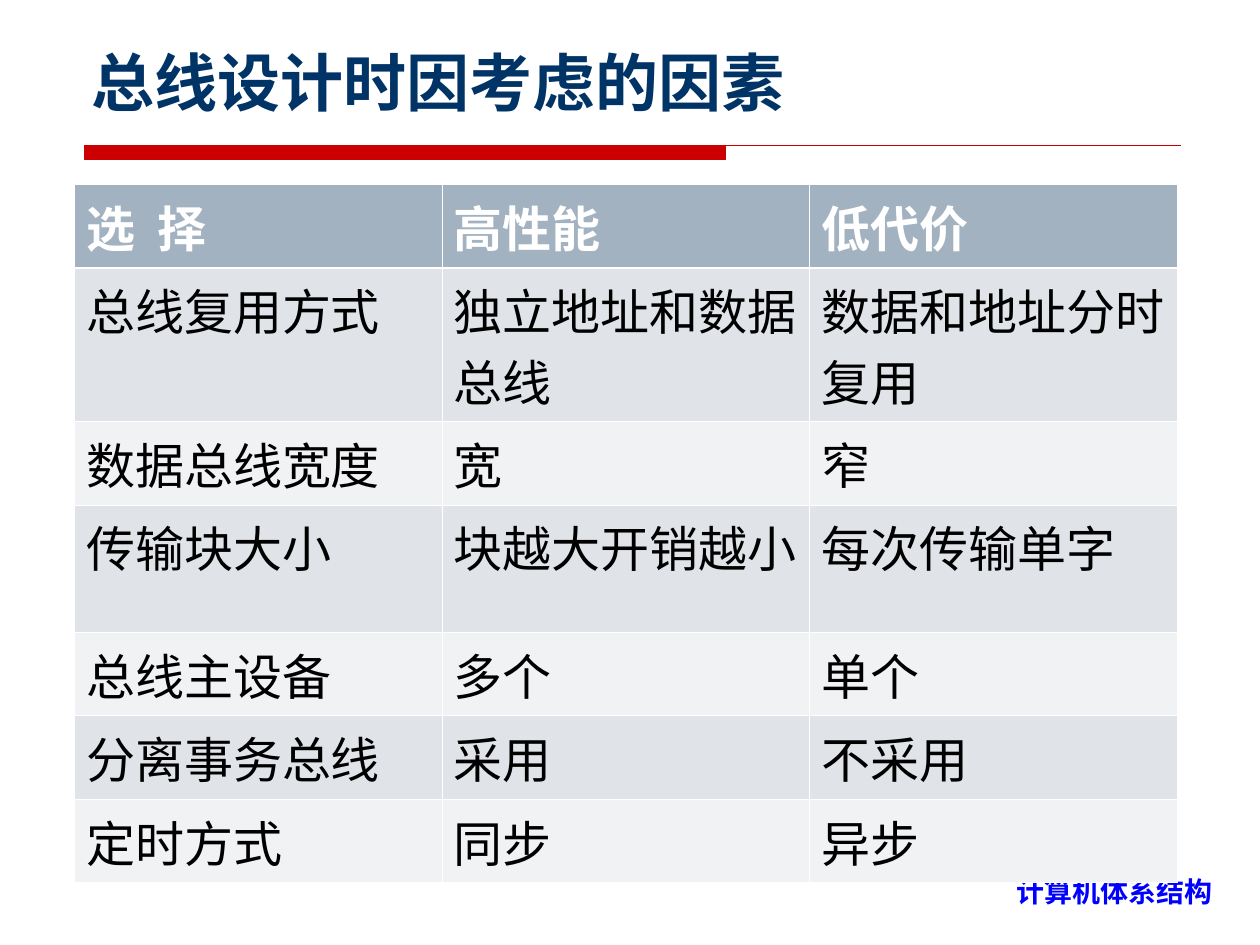
from lxml.etree import SubElement
from pptx import Presentation
from pptx.dml.color import RGBColor
from pptx.enum.text import MSO_ANCHOR, MSO_AUTO_SIZE, PP_ALIGN
from pptx.oxml.ns import qn
from pptx.util import Cm, Pt

LATIN = "DejaVu Sans"
CJK = "Noto Sans CJK SC"
RED = "CC0000"
WHITE = "FFFFFF"
HEADER_FILL = "A3B2C1"
BAND_FILLS = ("F0F2F4", "E0E4E9")
COMPARISON = (
    ("选  择", "高性能", "低代价"),
    ("总线复用方式", "独立地址和数据总线", "数据和地址分时复用"),
    ("数据总线宽度", "宽", "窄"),
    ("传输块大小", "块越大开销越小", "每次传输单字"),
    ("总线主设备", "多个", "单个"),
    ("分离事务总线", "采用", "不采用"),
    ("定时方式", "同步", "异步"),
)
ROW_HEIGHT = 1.68
TALL_ROWS = {1: 3.1, 3: 2.57}


def rgb(color):
    return RGBColor.from_string(color)


def write(frame, text, size, color, bold=True, latin=LATIN, align=PP_ALIGN.LEFT):
    frame.text = text
    paragraph = frame.paragraphs[0]
    paragraph.alignment = align
    font = paragraph.runs[0].font
    font.name = latin
    font.size = Pt(size)
    font.bold = bold
    font.color.rgb = rgb(color)
    SubElement(font._element, qn("a:ea")).set("typeface", CJK)


def add_title(slide, text):
    title = slide.shapes.title
    title.left, title.top, title.width, title.height = Cm(1.6), Cm(0.84), Cm(22.23), Cm(1.68)
    frame = title.text_frame
    frame.auto_size = MSO_AUTO_SIZE.NONE
    frame.vertical_anchor = MSO_ANCHOR.BOTTOM
    write(frame, text, 36, "003366")


def add_title_rule(slide):
    """Draw a thick bar under the title that runs on as a thin line."""
    left, top, bar_right, bottom, right = (Cm(v) for v in (1.7, 2.93, 14.62, 3.21, 23.8))
    builder = slide.shapes.build_freeform(left, top)
    builder.add_line_segments([(bar_right, top), (bar_right, bottom), (left, bottom)])
    builder.move_to(left, top)
    builder.add_line_segments([(right, top)], close=False)
    rule = builder.convert_to_shape()
    rule.shadow.inherit = False
    rule.fill.solid()
    rule.fill.fore_color.rgb = rgb(RED)
    rule.line.color.rgb = rgb(RED)
    rule.line.width = Pt(0.75)


def add_footer(slide, text):
    footer = slide.shapes.add_textbox(Cm(18.47), Cm(17.5), Cm(6.22), Cm(1.09))
    footer.text_frame.word_wrap = True
    write(footer.text_frame, text, 16, "0000FF", latin=CJK, align=PP_ALIGN.RIGHT)


def set_borders(cell, **widths):
    """Give the sides L, R, T and B white borders of the given point widths."""
    properties = cell._tc.get_or_add_tcPr()
    for side in "LRTB":
        border = SubElement(properties, qn(f"a:ln{side}"), w=str(Pt(widths.get(side, 0.45))))
        fill = SubElement(border, qn("a:solidFill"))
        SubElement(fill, qn("a:srgbClr"), val=WHITE)


def add_comparison(slide):
    heights = [TALL_ROWS.get(i, ROW_HEIGHT) for i in range(len(COMPARISON))]
    columns = len(COMPARISON[0])
    table = slide.shapes.add_table(
        len(COMPARISON), columns, Cm(1.5), Cm(3.72), Cm(7.41 * columns), Cm(sum(heights))
    ).table
    for i, (choices, height) in enumerate(zip(COMPARISON, heights)):
        table.rows[i].height = Cm(height)
        is_header = i == 0
        header_edge = {0: {"B": 1.47}, 1: {"T": 1.47}}.get(i, {})
        for cell, text in zip(table.rows[i].cells, choices):
            write(cell.text_frame, text, 28, WHITE if is_header else "000000", bold=is_header)
            cell.margin_left = cell.margin_right = Cm(0.24)
            set_borders(cell, **header_edge)
            cell.fill.solid()
            cell.fill.fore_color.rgb = rgb(HEADER_FILL if is_header else BAND_FILLS[i % 2])


def main():
    deck = Presentation()
    deck.slide_width, deck.slide_height = Cm(25.4), Cm(19.05)
    slide = deck.slides.add_slide(deck.slide_layouts[5])
    add_title_rule(slide)
    add_footer(slide, "计算机体系结构")
    add_title(slide, "总线设计时因考虑的因素")
    add_comparison(slide)
    deck.save("out.pptx")


if __name__ == "__main__":
    main()
